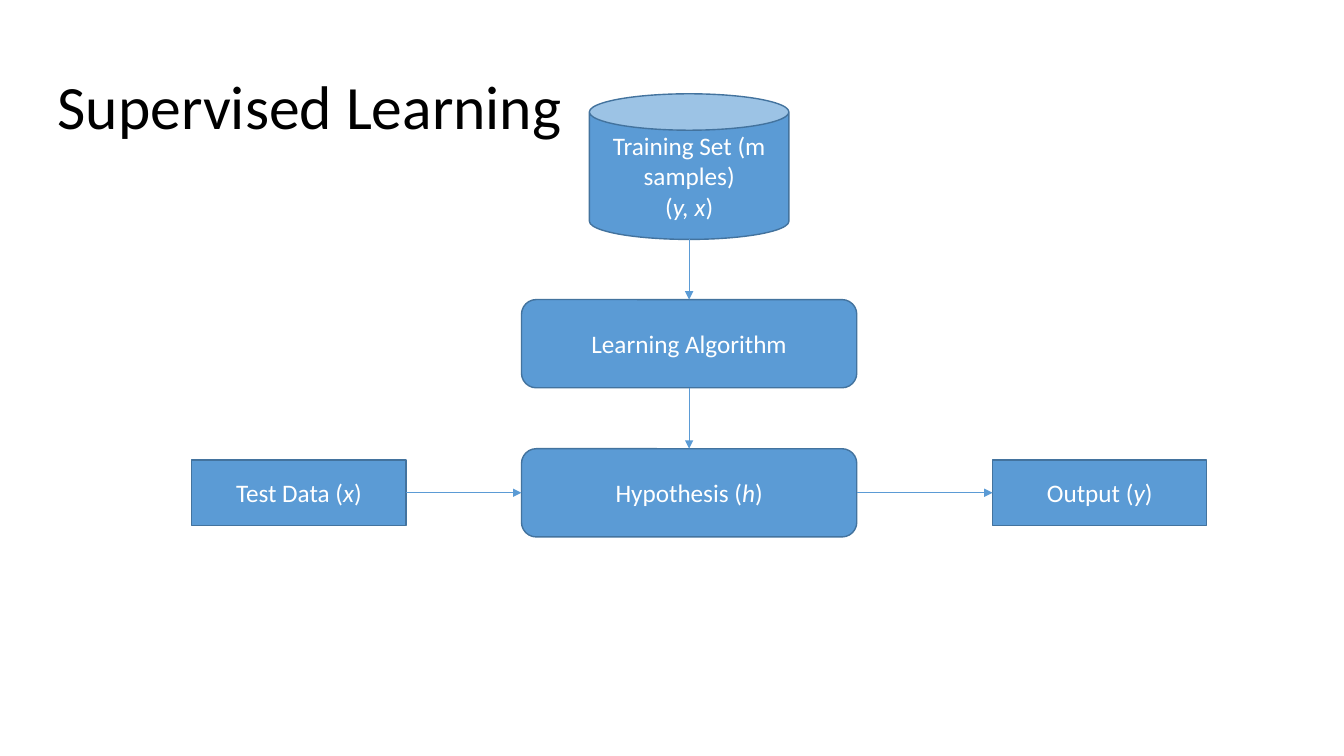
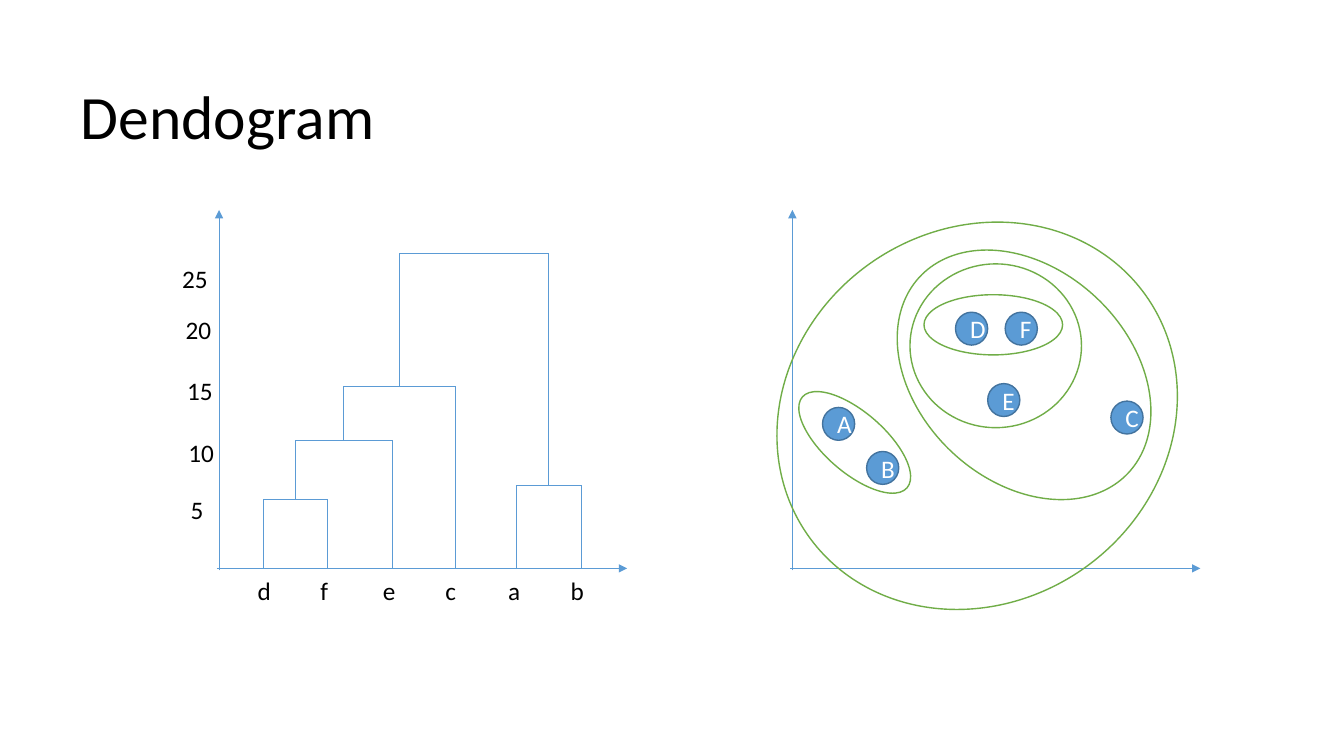
from lxml import etree
from pptx import Presentation
from pptx.dml.color import RGBColor
from pptx.enum import shapes, text
from pptx.oxml import ns
from pptx.util import Pt

BLUE = RGBColor(0x5B, 0x9B, 0xD5)
NAVY = RGBColor(0x43, 0x73, 0x9E)
GREEN = RGBColor(0x70, 0xAD, 0x47)
WHITE = RGBColor(0xFF, 0xFF, 0xFF)
BLACK = RGBColor(0x00, 0x00, 0x00)
FONT = "Calibri"
KIND = shapes.MSO_SHAPE
ALIGN = text.PP_ALIGN
ANCHOR = text.MSO_ANCHOR
TOP, LEFT, BOTTOM, RIGHT = range(4)


def write(frame, words, size=18, color=BLACK, align=ALIGN.LEFT,
          anchor=ANCHOR.TOP, lead=1.0, tabs=()):
    """Fill a frame: one paragraph per line, italics between underscores."""
    frame.word_wrap = True
    frame.auto_size = text.MSO_AUTO_SIZE.NONE
    frame.vertical_anchor = anchor
    for n, line in enumerate(words.split("\n")):
        para = frame.add_paragraph() if n else frame.paragraphs[0]
        para.alignment = align
        para.line_spacing = lead
        if tabs:
            stops = etree.SubElement(para._p.get_or_add_pPr(), ns.qn("a:tabLst"))
            for stop in tabs:
                etree.SubElement(stops, ns.qn("a:tab"), pos=str(Pt(stop)), algn="l")
        for i, part in enumerate(line.split("_")):
            if part:
                run = para.add_run()
                run.text = part
                font = run.font
                font.name, font.size = FONT, Pt(size)
                font.italic = i % 2 == 1
                font.color.rgb = color


class Deck:
    """Holds the shared style and the slide being drawn."""

    def __init__(self):
        self.prs = Presentation()
        self.prs.slide_width, self.prs.slide_height = Pt(960), Pt(540)
        self.slide = None

    def page(self, title, x, y):
        self.slide = self.prs.slides.add_slide(self.prs.slide_layouts[5])
        head = self.slide.shapes.title
        head.left, head.top, head.width, head.height = map(Pt, (x, y, 828, 104.5))
        write(head.text_frame, title, size=44, anchor=ANCHOR.MIDDLE, lead=0.9)

    def shape(self, kind, x, y, w, h, line):
        item = self.slide.shapes.add_shape(kind, Pt(x), Pt(y), Pt(w), Pt(h))
        item.shadow.inherit = False
        item.line.color.rgb, item.line.width = line, Pt(1)
        return item

    def node(self, kind, words, x, y, w, h):
        item = self.shape(kind, x, y, w, h, NAVY)
        item.fill.solid()
        item.fill.fore_color.rgb = BLUE
        write(item.text_frame, words, color=WHITE, align=ALIGN.CENTER,
              anchor=ANCHOR.MIDDLE)
        return item

    def ring(self, x, y, w, h, turn=0):
        item = self.shape(KIND.OVAL, x, y, w, h, GREEN)
        item.fill.background()
        item.rotation = turn

    def label(self, words, x, y, w, h, **form):
        box = self.slide.shapes.add_textbox(Pt(x), Pt(y), Pt(w), Pt(h))
        write(box.text_frame, words, **form)

    def line(self, x1, y1, x2, y2, arrow=False):
        item = self.slide.shapes.add_connector(
            shapes.MSO_CONNECTOR.STRAIGHT, Pt(x1), Pt(y1), Pt(x2), Pt(y2))
        item.line.color.rgb, item.line.width = BLUE, Pt(0.5)
        if arrow:
            etree.SubElement(item.line._get_or_add_ln(), ns.qn("a:tailEnd"),
                             type="triangle")
        etree.SubElement(item._element.spPr, ns.qn("a:effectLst"))
        return item

    def link(self, start, out, end, into):
        item = self.line(0, 0, 0, 0, arrow=True)
        item.begin_connect(start, out)
        item.end_connect(end, into)

    def axes(self, x):
        self.line(x, 406, x + 293, 406, arrow=True)
        self.line(x + 1.5, 407.5, x + 1.5, 150, arrow=True)

    def merge(self, left, right, y):
        """Join two (x, y) tops by a bracket at y; return its middle."""
        for x, foot in (left, right):
            self.line(x, foot, x, y)
        self.line(left[0], y, right[0], y)
        return (left[0] + right[0]) / 2, y


def flow(deck):
    deck.page("Supervised Learning", 34, 26)
    learn = deck.node(KIND.ROUNDED_RECTANGLE, "Learning Algorithm",
                      372.5, 214, 239.5, 63)
    guess = deck.node(KIND.ROUNDED_RECTANGLE, "Hypothesis (_h_)",
                      372.5, 320.5, 239.5, 63)
    deck.node(KIND.CAN, "Training Set (m samples)\n(_y, x_)",
              421, 67, 142.5, 104)
    test = deck.node(KIND.RECTANGLE, "Test Data (_x_)", 137, 328.5, 153, 47)
    out = deck.node(KIND.RECTANGLE, "Output (_y_)", 709, 328.5, 153, 47)
    feed = deck.line(492.25, 171, 492.25, 214, arrow=True)
    feed.end_connect(learn, TOP)
    deck.link(learn, BOTTOM, guess, TOP)
    deck.link(test, RIGHT, guess, LEFT)
    deck.link(guess, RIGHT, out, LEFT)


def tree(deck):
    base = 406
    deck.axes(155)
    d, f, e, c, a, b = [(x, base) for x in (188, 233.5, 280, 325.5, 368.5, 415.5)]
    df = deck.merge(d, f, 356.5)
    dfe = deck.merge(df, e, 314.5)
    dfec = deck.merge(dfe, c, 276)
    ab = deck.merge(a, b, 346.5)
    deck.merge(dfec, ab, 181)
    deck.label("\t".join("dfecab"), 177, 407.5, 252, 29,
               tabs=[44.7 * n for n in range(1, 6)])
    for mark, x, y in (("5", 129, 339), ("10", 127.5, 298), ("15", 126.5, 253.5),
                       ("20", 125.5, 210), ("25", 123, 174)):
        deck.label(mark, x, y, 34, 40, lead=1.5)


def groups(deck):
    deck.axes(564.5)
    for name, x, y in (("C", 793.5, 286.5), ("D", 682.5, 223), ("E", 705.5, 274),
                       ("F", 718, 223), ("B", 619, 322.5), ("A", 587.5, 291)):
        deck.node(KIND.OVAL, name, x, y, 23, 23.5)
    deck.ring(660, 210.5, 99, 43)
    deck.ring(650, 188.5, 122.5, 117)
    deck.ring(656, 165.5, 151, 204.5, turn=313.4)
    deck.ring(561, 294.5, 99, 43, turn=41)
    deck.ring(550, 164, 296, 266, turn=324.1)


def main():
    deck = Deck()
    flow(deck)
    deck.page("Dendogram", 50.5, 33)
    tree(deck)
    groups(deck)
    deck.prs.save("out.pptx")


if __name__ == "__main__":
    main()
